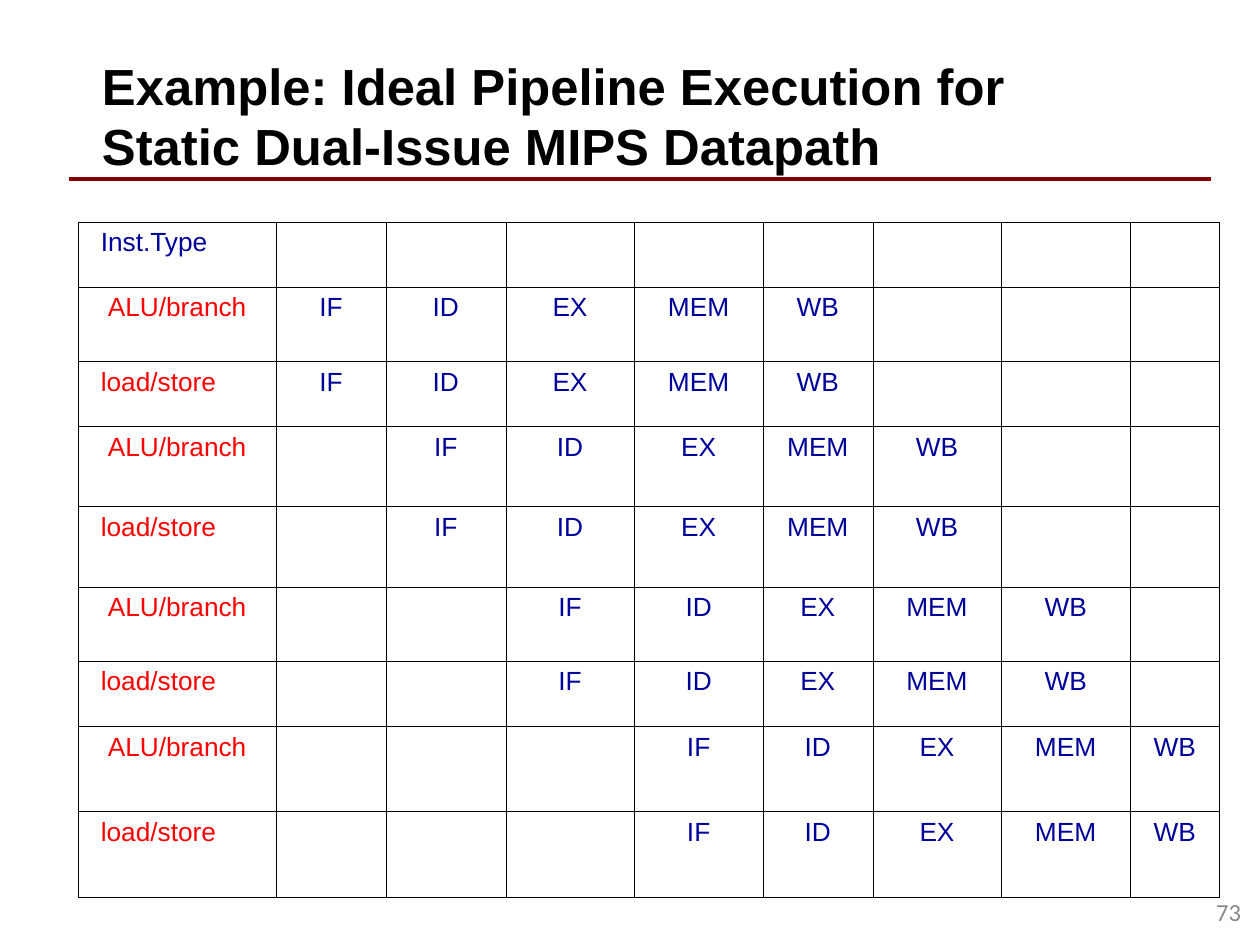
from lxml import etree
from pptx import Presentation, util as u
from pptx.dml.color import RGBColor
from pptx.enum import shapes, text
from pptx.oxml.ns import qn

COLORS = {"title": "000000", "rule": "800000", "stage": "00009A", "type": "FF0000",
          "cell": "FFFFFF", "border": "000000", "number": "898989"}
TITLE = [("Example: Ideal Pipeline Execution for", 40.1),
         ("Static Dual-Issue MIPS Datapath", 34.6)]
HEADER = "Inst.Type"
TYPES = [("ALU/branch", text.PP_ALIGN.CENTER), ("load/store", text.PP_ALIGN.LEFT)]
STAGES = ["IF", "ID", "EX", "MEM", "WB"]
PACKETS = 4
TABLE_W, TABLE_H = 9.06, 5.36
COLS = [1.57, 0.87, 0.95, 1.02, 1.02, 0.87, 1.02, 1.02, 0.71]
ROWS = [0.52, 0.59, 0.52, 0.64, 0.64, 0.59, 0.52, 0.68, 0.68]


def style(p, size, color, font="Arial", bold=False, align=text.PP_ALIGN.LEFT):
    p.alignment = align
    for r in p.runs:
        r.font.size, r.font.name, r.font.bold = u.Pt(size), font, bold
        r.font.color.rgb = RGBColor.from_string(COLORS[color])


def inset(box, left, top, right, bottom):
    box.margin_left, box.margin_top = u.Inches(left), u.Inches(top)
    box.margin_right, box.margin_bottom = u.Inches(right), u.Inches(bottom)


def add_box(s, left, top, width, height):
    tf = s.shapes.add_textbox(*map(u.Inches, (left, top, width, height))).text_frame
    tf.word_wrap = True
    return tf


def format_cell(cell):
    tc_pr = cell._tc.get_or_add_tcPr()
    for side in ("a:lnL", "a:lnR", "a:lnT", "a:lnB"):
        ln = etree.SubElement(tc_pr, qn(side), w=str(u.Pt(0.06)))
        fill = etree.SubElement(ln, qn("a:solidFill"))
        etree.SubElement(fill, qn("a:srgbClr"), val=COLORS["border"])
    cell.fill.solid()
    cell.fill.fore_color.rgb = RGBColor.from_string(COLORS["cell"])
    inset(cell, 0.18, 0.05, 0.18, 0.05)


def write_cell(cell, words, color, align):
    cell.text_frame.text = words
    style(cell.text_frame.paragraphs[0], 15, color, align=align)


def add_rule(s):
    line = s.shapes.add_connector(shapes.MSO_CONNECTOR.STRAIGHT,
                                  *map(u.Inches, (0.55, 1.42, 9.61, 1.42)))
    line.line.width = u.Pt(2)
    line.line.color.rgb = RGBColor.from_string(COLORS["rule"])
    etree.SubElement(line._element.spPr, qn("a:effectLst"))


def add_pipeline(s):
    size = map(u.Inches, (0.62, 1.76, TABLE_W, TABLE_H))
    table = s.shapes.add_table(len(ROWS), len(COLS), *size).table
    table.first_row = table.horz_banding = False
    for column, share in zip(table.columns, COLS):
        column.width = u.Inches(TABLE_W * share / sum(COLS))
    for row, share in zip(table.rows, ROWS):
        row.height = u.Inches(TABLE_H * share / sum(ROWS))
    for cell in table.iter_cells():
        format_cell(cell)
    write_cell(table.cell(0, 0), HEADER, "stage", text.PP_ALIGN.LEFT)
    for packet in range(PACKETS):
        for slot, (kind, align) in enumerate(TYPES):
            row = 1 + packet * len(TYPES) + slot
            write_cell(table.cell(row, 0), kind, "type", align)
            for col, stage in enumerate(STAGES, 1 + packet):
                write_cell(table.cell(row, col), stage, "stage", text.PP_ALIGN.CENTER)


def add_title(s):
    tf = add_box(s, 0.81, 0.36, 7.4, 1.13)
    inset(tf, 0, 0, 0, 0.09)
    tf.text = "\n".join(words for words, _ in TITLE)
    for p, (_, spacing) in zip(tf.paragraphs, TITLE):
        p.line_spacing = u.Pt(spacing)
        style(p, 29, "title", bold=True)


def add_number(s):
    tf = add_box(s, 5.8, 6.87, 4.23, 0.73)
    inset(tf, 0.18, 0.09, 0.18, 0.09)
    tf.vertical_anchor = text.MSO_ANCHOR.MIDDLE
    tf.text = "73"
    style(tf.paragraphs[0], 14, "number", "Calibri", align=text.PP_ALIGN.RIGHT)


def main():
    prs = Presentation()
    prs.slide_width, prs.slide_height = u.Inches(10), u.Inches(7.5)
    s = prs.slides.add_slide(prs.slide_layouts[6])
    add_rule(s)
    add_pipeline(s)
    add_title(s)
    add_number(s)
    prs.save("out.pptx")


if __name__ == "__main__":
    main()
